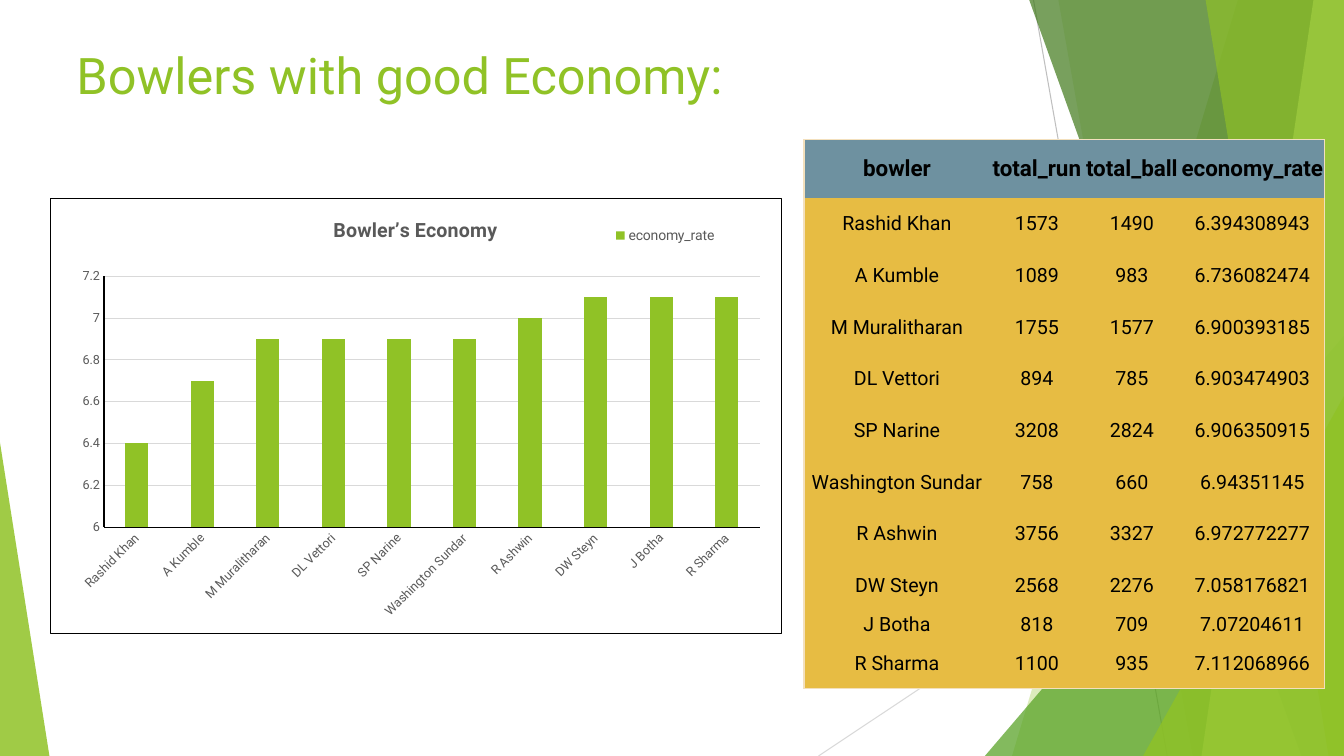
from dataclasses import dataclass

from lxml import etree
from pptx import Presentation
from pptx.chart.data import CategoryChartData
from pptx.dml.color import RGBColor
from pptx.enum.chart import XL_CHART_TYPE, XL_LEGEND_POSITION, XL_TICK_MARK
from pptx.enum.shapes import MSO_CONNECTOR, MSO_SHAPE
from pptx.enum.text import MSO_ANCHOR, PP_ALIGN
from pptx.oxml.ns import qn
from pptx.util import Emu, Inches, Pt

COLUMNS = XL_CHART_TYPE.COLUMN_CLUSTERED
LEGEND_TOP = XL_LEGEND_POSITION.TOP
NO_TICK = XL_TICK_MARK.NONE
STRAIGHT = MSO_CONNECTOR.STRAIGHT
TRIANGLE = MSO_SHAPE.ISOSCELES_TRIANGLE
MIDDLE = MSO_ANCHOR.MIDDLE
CENTER = PP_ALIGN.CENTER

LIME = RGBColor(0x90, 0xC2, 0x26)
GREEN = RGBColor(0x54, 0xA0, 0x21)
FOREST = RGBColor(0x3F, 0x78, 0x19)
PALE_LIME = RGBColor(0xC0, 0xE4, 0x74)
BLACK = RGBColor(0, 0, 0)
TEXT_GRAY = RGBColor(0x59, 0x59, 0x59)
LINE_GRAY = RGBColor(0xBF, 0xBF, 0xBF)
PALE_GRAY = RGBColor(0xD9, 0xD9, 0xD9)
HEADER_BLUE = RGBColor(0x6E, 0x91, 0xA0)
BODY_GOLD = RGBColor(0xE7, 0xBC, 0x43)
CREAM = RGBColor(0xF3, 0xE0, 0xBD)

FONT = "Roboto"
WIDTH, HEIGHT = Inches(13.33), Inches(7.5)
PLAIN_TABLE = "{2D5ABB26-0587-4C30-8999-92F81FD0307C}"


@dataclass
class Ray:
    x1: float
    y1: float
    x2: float
    y2: float
    color: RGBColor


@dataclass
class Panel:
    top_x: float
    bottom_x: float
    color: RGBColor
    opacity: int


@dataclass
class Wedge:
    left: float
    top: float
    width: float
    apex: int
    color: RGBColor
    opacity: int


@dataclass
class Bowler:
    name: str
    runs: str
    balls: str
    economy: str


RAYS = [Ray(76.9, 0, 86.85, 100, LINE_GRAY), Ray(100, 53.73, 60.9, 100, PALE_GRAY)]
FACETS = [
    Panel(92.1, 75.3, LIME, 30),
    Panel(78.75, 88.73, LIME, 20),
    Wedge(73.28, 44.4, 26.72, 1, GREEN, 72),
    Panel(76.58, 96.83, FOREST, 70),
    Panel(97.73, 89.4, PALE_LIME, 70),
    Panel(89.7, 98.85, LIME, 65),
    Wedge(85.05, 52.4, 14.95, 1, LIME, 80),
    Wedge(0, 58.53, 3.68, 0, LIME, 85),
]
HEADER = Bowler("bowler", "total_run", "total_ball", "economy_rate")
BOWLERS = [
    Bowler("Rashid Khan", "1573", "1490", "6.394308943"),
    Bowler("A Kumble", "1089", "983", "6.736082474"),
    Bowler("M Muralitharan", "1755", "1577", "6.900393185"),
    Bowler("DL Vettori", "894", "785", "6.903474903"),
    Bowler("SP Narine", "3208", "2824", "6.906350915"),
    Bowler("Washington Sundar", "758", "660", "6.94351145"),
    Bowler("R Ashwin", "3756", "3327", "6.972772277"),
    Bowler("DW Steyn", "2568", "2276", "7.058176821"),
    Bowler("J Botha", "818", "709", "7.07204611"),
    Bowler("R Sharma", "1100", "935", "7.112068966"),
]
COLUMN_SHARES = [13.84, 6.98, 7.16, 10.77]
ROW_SHARES = [7.7] + [6.83] * 8 + [3.47, 6.83]


def across(share: float) -> Emu:
    return Emu(round(WIDTH * share / 100))


def down(share: float) -> Emu:
    return Emu(round(HEIGHT * share / 100))


def box(left: float, top: float, width: float, height: float) -> tuple:
    return across(left), down(top), across(width), down(height)


def style_font(font, size: float, color: RGBColor, bold: bool = False) -> None:
    font.name, font.size, font.bold = FONT, Pt(size), bold
    font.color.rgb = color


def style_line(line, color: RGBColor, width: float = 0.75) -> None:
    line.color.rgb = color
    line.width = Pt(width)


def draw_ray(s, ray: Ray) -> None:
    c = s.shapes.add_connector(STRAIGHT, across(ray.x1), down(ray.y1), across(ray.x2), down(ray.y2))
    style_line(c.line, ray.color)
    etree.SubElement(c.element.spPr, qn("a:effectLst"))


def draw_facet(s, facet: Panel | Wedge) -> None:
    if isinstance(facet, Panel):
        fb = s.shapes.build_freeform(across(facet.top_x), 0)
        fb.add_line_segments([(WIDTH, 0), (WIDTH, HEIGHT), (across(facet.bottom_x), HEIGHT)])
        sp = fb.convert_to_shape()
    else:
        sp = s.shapes.add_shape(TRIANGLE, *box(facet.left, facet.top, facet.width, 100 - facet.top))
        sp.adjustments[0] = facet.apex
    sp.shadow.inherit = False
    sp.line.fill.background()
    sp.fill.solid()
    sp.fill.fore_color.rgb = facet.color
    color = sp.element.spPr.find(qn("a:solidFill"))[0]
    etree.SubElement(color, qn("a:alpha"), val=str(facet.opacity * 1000))


def draw_title(s) -> None:
    tf = s.shapes.add_textbox(*box(4.95, 5.2, 70.5, 19.2)).text_frame
    tf.word_wrap = True
    tf.text = "Bowlers with good Economy:"
    style_font(tf.paragraphs[0].runs[0].font, 36, LIME)


def add_border(cell, side: str, index: int) -> None:
    ln = etree.Element(qn(f"a:ln{side}"), w=str(Pt(1)))
    fill = etree.SubElement(ln, qn("a:solidFill"))
    etree.SubElement(fill, qn("a:srgbClr"), val=str(CREAM))
    cell._tc.get_or_add_tcPr().insert(index, ln)


def draw_table(s) -> None:
    rows = [HEADER, *BOWLERS]
    frame = s.shapes.add_table(len(rows), len(COLUMN_SHARES),
                               *box(59.82, 18.48, sum(COLUMN_SHARES), sum(ROW_SHARES)))
    table = frame.table
    table.first_row = table.horz_banding = False
    table._tbl.tblPr.find(qn("a:tableStyleId")).text = PLAIN_TABLE
    for column, share in zip(table.columns, COLUMN_SHARES):
        column.width = across(share)
    last_row, last_column = len(rows) - 1, len(COLUMN_SHARES) - 1
    for i, bowler in enumerate(rows):
        table.rows[i].height = down(ROW_SHARES[i])
        for j, value in enumerate((bowler.name, bowler.runs, bowler.balls, bowler.economy)):
            cell = table.cell(i, j)
            cell.text_frame.text = value
            cell.vertical_anchor = MIDDLE
            cell.margin_left = cell.margin_right = cell.margin_top = Inches(0.01)
            cell.margin_bottom = 0
            cell.fill.solid()
            cell.fill.fore_color.rgb = BODY_GOLD if i else HEADER_BLUE
            p = cell.text_frame.paragraphs[0]
            p.alignment = CENTER
            style_font(p.runs[0].font, 14 if i else 16, BLACK, i == 0)
            edges = {"L": j == 0, "R": j == last_column, "T": i == 0, "B": i == last_row}
            for index, side in enumerate(side for side, outer in edges.items() if outer):
                add_border(cell, side, index)


def set_layout(parent, index: int, target: str = "", **shares: float) -> None:
    for old in parent.findall(qn("c:layout")):
        parent.remove(old)
    layout = etree.Element(qn("c:layout"))
    manual = etree.SubElement(layout, qn("c:manualLayout"))
    if target:
        etree.SubElement(manual, qn("c:layoutTarget"), val=target)
    for mode in ("xMode", "yMode"):
        etree.SubElement(manual, qn(f"c:{mode}"), val="edge")
    for name, share in shares.items():
        etree.SubElement(manual, qn(f"c:{name}"), val=str(share / 100))
    parent.insert(index, layout)


def draw_chart(s) -> None:
    data = CategoryChartData()
    data.categories = [b.name for b in BOWLERS]
    data.add_series(HEADER.economy, [round(float(b.economy), 1) for b in BOWLERS])
    chart = s.shapes.add_chart(COLUMNS, *box(3.73, 26.2, 54.46, 57.7), data).chart
    style_font(chart.font, 10, BLACK)

    chart.has_title = True
    tf = chart.chart_title.text_frame
    tf.text = "Bowler’s Economy"
    style_font(tf.paragraphs[0].runs[0].font, 14, TEXT_GRAY, True)
    chart.has_legend = True
    chart.legend.position = LEGEND_TOP
    chart.legend.include_in_layout = False
    style_font(chart.legend.font, 10, TEXT_GRAY)

    plot = chart.plots[0]
    plot.gap_width = 182
    plot.vary_by_categories = False
    bars = plot.series[0].format.fill
    bars.solid()
    bars.fore_color.rgb = LIME
    for axis in (chart.category_axis, chart.value_axis):
        axis.major_tick_mark = axis.minor_tick_mark = NO_TICK
        style_font(axis.tick_labels.font, 9, TEXT_GRAY)
        style_line(axis.format.line, BLACK)
    labels = chart.category_axis._element.find(qn("c:txPr"))
    labels.find(qn("a:bodyPr")).set("rot", "-2700000")
    values = chart.value_axis
    values.minimum_scale, values.maximum_scale, values.major_unit = 6, 7.2, 0.2
    values.tick_labels.number_format = "General"
    values.tick_labels.number_format_is_linked = False
    style_line(values.major_gridlines.format.line, PALE_GRAY)

    body = chart.element.find(qn("c:chart"))
    set_layout(body.find(qn("c:title")), 1, x=38.2, y=3.2)
    set_layout(body.find(qn("c:legend")), 1, x=76.6, y=6, w=15, h=5)
    set_layout(body.find(qn("c:plotArea")), 0, "inner", x=7.3, y=17.9, w=89.7, h=57.6)
    border = etree.Element(qn("c:spPr"))
    line = etree.SubElement(border, qn("a:ln"), w=str(Pt(0.75)))
    fill = etree.SubElement(line, qn("a:solidFill"))
    etree.SubElement(fill, qn("a:srgbClr"), val=str(BLACK))
    body.addnext(border)


def main() -> None:
    prs = Presentation()
    prs.slide_width, prs.slide_height = WIDTH, HEIGHT
    s = prs.slides.add_slide(prs.slide_layouts[6])
    for ray in RAYS:
        draw_ray(s, ray)
    for facet in FACETS:
        draw_facet(s, facet)
    draw_title(s)
    draw_table(s)
    draw_chart(s)
    prs.save("out.pptx")


if __name__ == "__main__":
    main()
